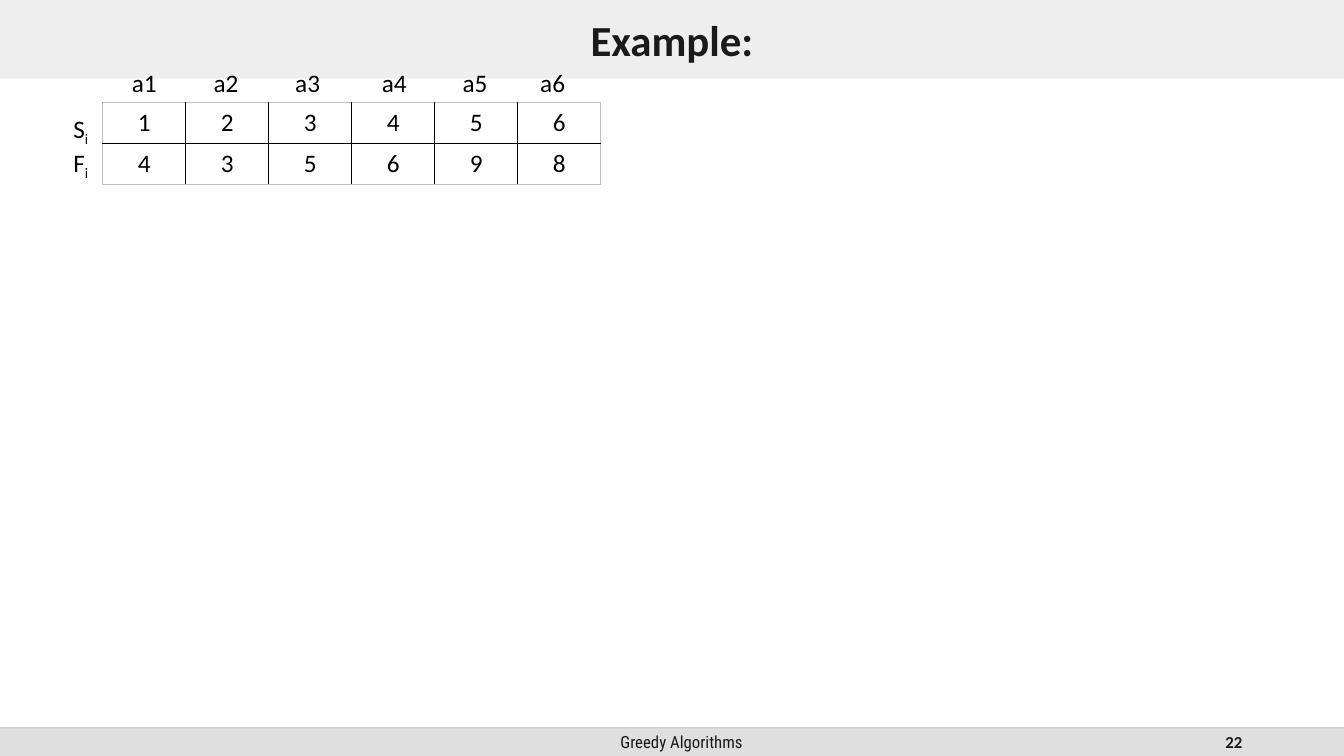
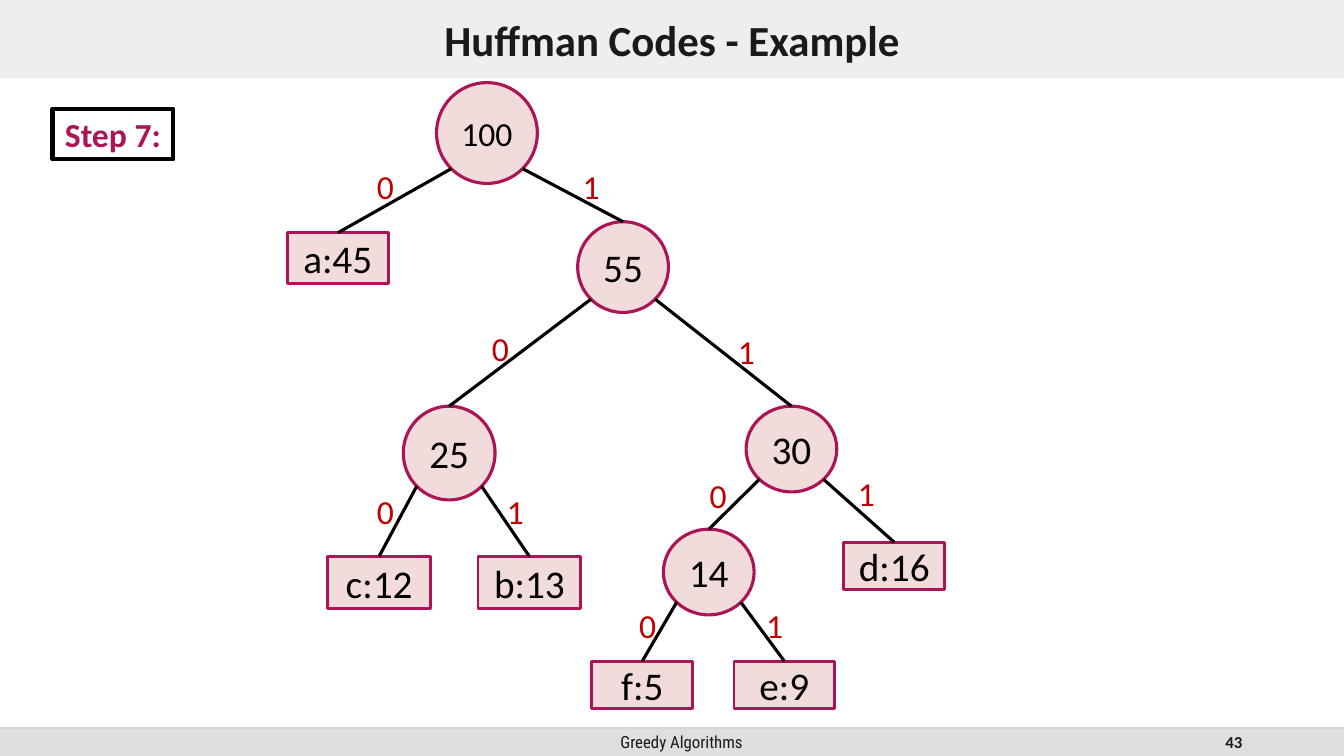
"""Build two lecture slides on greedy algorithms."""
from dataclasses import dataclass
from math import sqrt

from lxml.etree import SubElement
from pptx import Presentation
from pptx.dml.color import RGBColor
from pptx.enum.shapes import MSO_CONNECTOR, MSO_SHAPE
from pptx.enum.text import MSO_ANCHOR, PP_ALIGN
from pptx.oxml.ns import qn
from pptx.util import Inches, Pt

WIDTH, HEIGHT = 13.33, 7.5
FOOTER_TOP = 7.22
GREY, RULE, INK = "DFDFDF", "BFBFBF", "1A1A1A"
BLACK, MAGENTA, PINK, RED = "000000", "AD1457", "F2DCDB", "C00000"


@dataclass(frozen=True)
class Node:
    label: str
    left: float
    top: float
    width: float
    height: float
    size: float = 28

    @property
    def is_leaf(self) -> bool:
        return ":" in self.label


@dataclass(frozen=True)
class Branch:
    parent: str
    child: str
    bit: int
    left: float
    top: float


NODES = [
    Node("100", 4.33, 0.82, 1, 1, 24),
    Node("a:45", 2.85, 2.31, 1, 0.5),
    Node("55", 5.73, 2.2, 0.9, 0.9),
    Node("25", 4, 4.03, 0.91, 0.93),
    Node("30", 7.4, 4.03, 0.9, 0.85),
    Node("c:12", 3.25, 5.52, 1.02, 0.52),
    Node("b:13", 4.74, 5.52, 1.02, 0.52),
    Node("14", 6.58, 5.25, 0.9, 0.85),
    Node("d:16", 8.37, 5.38, 1, 0.47),
    Node("f:5", 5.87, 6.56, 1, 0.47),
    Node("e:9", 7.28, 6.56, 1, 0.47),
]
BRANCHES = [
    Branch("100", "a:45", 0, 3.64, 1.6),
    Branch("100", "55", 1, 5.68, 1.6),
    Branch("55", "25", 0, 4.78, 3.2),
    Branch("55", "30", 1, 7.22, 3.23),
    Branch("25", "c:12", 0, 3.64, 4.82),
    Branch("25", "b:13", 1, 4.93, 4.82),
    Branch("30", "14", 0, 6.94, 4.66),
    Branch("30", "d:16", 1, 8.41, 4.64),
    Branch("14", "f:5", 0, 6.24, 5.95),
    Branch("14", "e:9", 1, 7.5, 5.95),
]
STARTS = [1, 2, 3, 4, 5, 6]
FINISHES = [4, 3, 5, 6, 9, 8]
ACTIVITY_TABS = [0.81, 1.62, 2.48, 3.28, 4.05]


def rgb(color: str) -> RGBColor:
    return RGBColor.from_string(color)


def set_alpha(element, percent: int) -> None:
    for clr in element.iter(qn("a:srgbClr")):
        SubElement(clr, qn("a:alpha"), val=str(percent * 1000))


def add_run(p, text: str, size: float, color: str = BLACK, bold: bool = False,
            font: str = "Calibri"):
    r = p.add_run()
    r.text = text
    for name, value in {"size": Pt(size), "bold": bold, "name": font}.items():
        setattr(r.font, name, value)
    r.font.color.rgb = rgb(color)
    return r


def add_box(slide, left: float, top: float, width: float, height: float,
            kind=MSO_SHAPE.RECTANGLE, fill: str = "", line: str = "",
            weight: float = 1):
    sp = slide.shapes.add_shape(kind, Inches(left), Inches(top),
                                Inches(width), Inches(height))
    sp.shadow.inherit = False
    if fill:
        sp.fill.solid()
        sp.fill.fore_color.rgb = rgb(fill)
    else:
        sp.fill.background()
    if line:
        sp.line.color.rgb = rgb(line)
        sp.line.width = Pt(weight)
    else:
        sp.line.fill.background()
    return sp


def center_text(sp, text: str, size: float, **style) -> None:
    tf = sp.text_frame
    for name, value in {"word_wrap": False,
                        "vertical_anchor": MSO_ANCHOR.MIDDLE}.items():
        setattr(tf, name, value)
    p = tf.paragraphs[0]
    p.alignment = PP_ALIGN.CENTER
    add_run(p, text, size, **style)


def add_text(slide, left: float, top: float, width: float, height: float,
             text: str = "", size: float = 18, align=PP_ALIGN.LEFT,
             anchor=MSO_ANCHOR.TOP, **style):
    tf = slide.shapes.add_textbox(Inches(left), Inches(top), Inches(width),
                                  Inches(height)).text_frame
    for name, value in {"word_wrap": True, "vertical_anchor": anchor}.items():
        setattr(tf, name, value)
    p = tf.paragraphs[0]
    p.alignment = align
    if text:
        add_run(p, text, size, **style)
    return tf


def add_line(slide, x1: float, y1: float, x2: float, y2: float,
             color: str = BLACK, weight: float = 2.25):
    line = slide.shapes.add_connector(MSO_CONNECTOR.STRAIGHT, Inches(x1),
                                      Inches(y1), Inches(x2), Inches(y2))
    line.line.color.rgb = rgb(color)
    line.line.width = Pt(weight)
    SubElement(line._element.spPr, qn("a:effectLst"))
    return line


def new_slide(prs, title: str, number: int):
    slide = prs.slides.add_slide(prs.slide_layouts[6])
    add_box(slide, 0, FOOTER_TOP, WIDTH, HEIGHT - FOOTER_TOP, fill=GREY)
    add_text(slide, 4.42, FOOTER_TOP, 4.68, 0.28, "Greedy Algorithms", 12,
             PP_ALIGN.CENTER, MSO_ANCHOR.MIDDLE, color=INK,
             font="Roboto Condensed")
    add_text(slide, 9.42, FOOTER_TOP, 3, 0.28, str(number), 12,
             PP_ALIGN.RIGHT, MSO_ANCHOR.MIDDLE, color=INK, bold=True)
    rule = add_line(slide, 0, FOOTER_TOP, WIDTH, FOOTER_TOP, RULE, 1)
    set_alpha(rule._element, 70)
    band = add_box(slide, 0, 0, WIDTH, 0.78, fill=GREY)
    set_alpha(band._element, 50)
    margins = {"margin_left": 0.24, "margin_right": 0.24,
               "margin_top": 0.12, "margin_bottom": 0.12}
    for name, value in margins.items():
        setattr(band.text_frame, name, Inches(value))
    center_text(band, title, 30.6, color=INK, bold=True)
    return slide


def set_borders(cell, colors: dict[str, str]) -> None:
    tcPr = cell._tc.get_or_add_tcPr()
    for side, color in colors.items():
        ln = SubElement(tcPr, qn(f"a:ln{side}"), w=str(Pt(1)))
        SubElement(SubElement(ln, qn("a:solidFill")), qn("a:srgbClr"), val=color)


def add_times_table(slide) -> None:
    rows = [STARTS, FINISHES]
    last_row, last_col = len(rows) - 1, len(STARTS) - 1
    table = slide.shapes.add_table(len(rows), len(STARTS), Inches(1.02),
                                   Inches(1.02), Inches(4.94),
                                   Inches(0.81)).table
    for i, row in enumerate(rows):
        for j, value in enumerate(row):
            cell = table.cell(i, j)
            outer = {"L": j == 0, "R": j == last_col,
                     "T": i == 0, "B": i == last_row}
            set_borders(cell, {side: RULE if edge else BLACK
                               for side, edge in outer.items()})
            cell.fill.background()
            p = cell.text_frame.paragraphs[0]
            p.alignment = PP_ALIGN.CENTER
            add_run(p, str(value), 18)


def build_activities(prs) -> None:
    slide = new_slide(prs, "Example:", 22)
    add_times_table(slide)
    names = "\t".join(f"a{i}" for i in range(1, len(STARTS) + 1))
    tf = add_text(slide, 1.21, 0.62, 4.8, 0.4, names)
    tabs = SubElement(tf.paragraphs[0]._p.get_or_add_pPr(), qn("a:tabLst"))
    for stop in ACTIVITY_TABS:
        SubElement(tabs, qn("a:tab"), pos=str(Inches(stop)), algn="l")
    tf = add_text(slide, 0.63, 1.07, 0.37, 1.01)
    tf.word_wrap = False
    for p, letter in zip([tf.paragraphs[0], tf.add_paragraph()], "SF"):
        add_run(p, letter, 18)
        r = add_run(p, "i", 18)
        r._r.get_or_add_rPr().set("baseline", "-25000")


def add_node(slide, node: Node):
    kind = MSO_SHAPE.RECTANGLE if node.is_leaf else MSO_SHAPE.OVAL
    sp = add_box(slide, node.left, node.top, node.width, node.height, kind,
                 PINK, MAGENTA, 2 if node.is_leaf else 2.25)
    center_text(sp, node.label, node.size)
    return sp


def add_branch(slide, branch: Branch, parent: Node, child: Node, child_sp) -> None:
    side = 1 if branch.bit else -1
    x = parent.left + parent.width / 2 * (1 + side / sqrt(2))
    y = parent.top + parent.height / 2 * (1 + 1 / sqrt(2))
    line = add_line(slide, x, y, child.left + child.width / 2, child.top)
    line.end_connect(child_sp, 0)
    add_text(slide, branch.left, branch.top, 0.4, 0.5, str(branch.bit), 24,
             color=RED)


def build_huffman(prs) -> None:
    slide = new_slide(prs, "Huffman Codes - Example", 43)
    step = add_box(slide, 0.52, 1.08, 1.2, 0.5, line=BLACK, weight=3)
    center_text(step, "Step 7:", 24, color=MAGENTA, bold=True)
    nodes = {node.label: node for node in NODES}
    shapes = {node.label: add_node(slide, node) for node in NODES}
    for branch in BRANCHES:
        add_branch(slide, branch, nodes[branch.parent], nodes[branch.child],
                   shapes[branch.child])


def main() -> None:
    prs = Presentation()
    prs.slide_width, prs.slide_height = Inches(WIDTH), Inches(HEIGHT)
    build_activities(prs)
    build_huffman(prs)
    prs.save("out.pptx")


if __name__ == "__main__":
    main()
